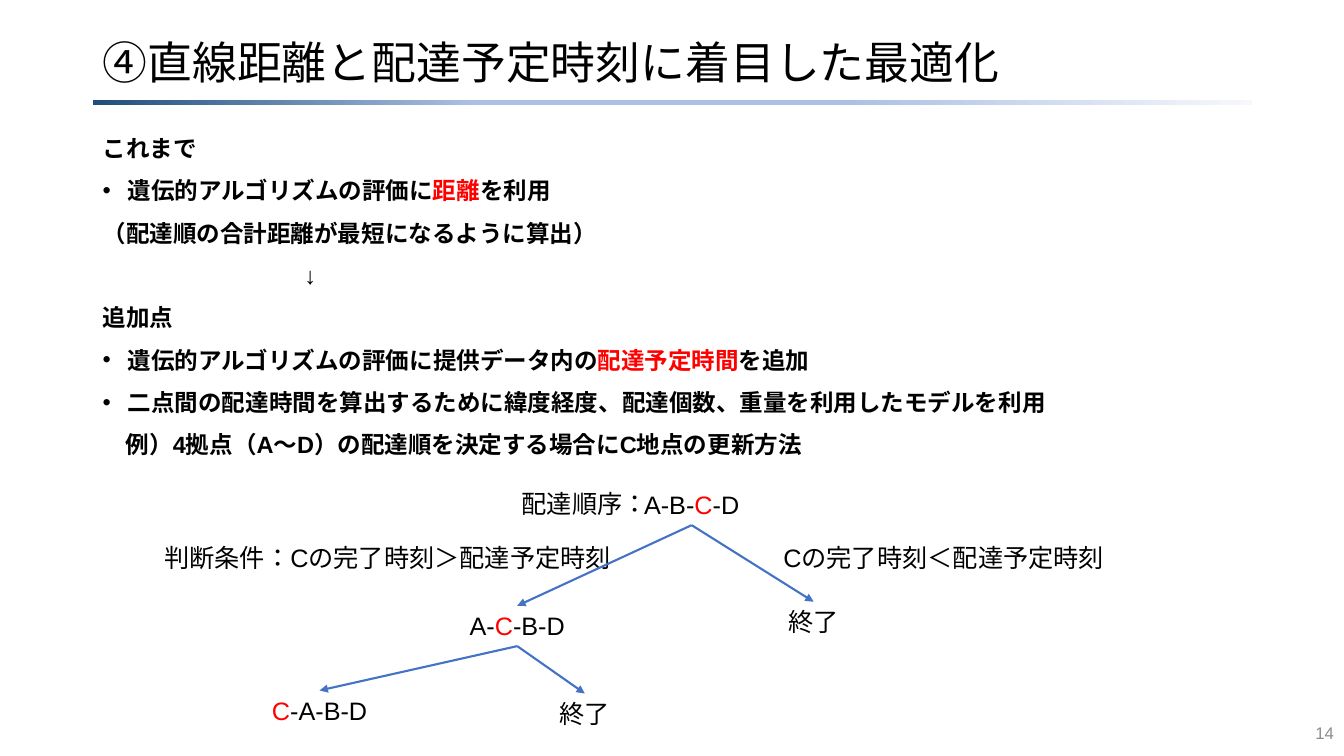
from dataclasses import dataclass

from lxml import etree
from pptx import Presentation
from pptx import util as u
from pptx.dml.color import RGBColor
from pptx.enum import lang, shapes, text
from pptx.oxml import parse_xml
from pptx.oxml.ns import nsdecls, qn


@dataclass(frozen=True)
class Theme:
    font: str = "Arial"
    ink: str = "000000"
    accent: str = "FF0000"
    arrow: str = "4472C4"
    muted: str = "8C8C8C"
    rule_stops: tuple = ((0, "F6F8FC"), (35, "ABC0E4"), (67, "ABC0E4"), (100, "1F4E79"))
    title_size: float = 32
    label_size: float = 18
    body_size: float = 16.8
    number_size: float = 12


class SlideBuilder:
    def __init__(self, page, theme):
        self.page = page
        self.theme = theme

    def fill_para(self, para, content, size, color=None, bold=False):
        """Fill a paragraph; text between * marks takes the accent colour."""
        para.font.name = self.theme.font
        para.font.size = u.Pt(size)
        para.font.bold = bold
        para.font.color.rgb = RGBColor.from_string(color or self.theme.ink)
        for index, part in enumerate(content.split("*")):
            if part:
                span = para.add_run()
                span.text = part
                span.font.language_id = lang.MSO_LANGUAGE_ID.JAPANESE
                if index % 2:
                    span.font.color.rgb = RGBColor.from_string(self.theme.accent)

    def frame(self, left, top, width, height, anchor=text.MSO_ANCHOR.TOP):
        box = self.page.shapes.add_textbox(*map(u.Inches, (left, top, width, height)))
        box.text_frame.word_wrap = True
        box.text_frame.vertical_anchor = anchor
        return box

    def line(self, content, area, size, align, color=None, anchor=text.MSO_ANCHOR.TOP,
             spacing=None):
        box = self.frame(*area, anchor)
        para = box.text_frame.paragraphs[0]
        para.alignment = align
        para.line_spacing = spacing
        self.fill_para(para, content, size, color)
        return box

    def label(self, content, left, top, width=1.72):
        return self.line(content, (left, top, width, 0.4), self.theme.label_size,
                         text.PP_ALIGN.CENTER)

    def body(self, area, rows):
        """Rows are (content, left indent, bulleted)."""
        box = self.frame(*area)
        for index, (content, indent, bulleted) in enumerate(rows):
            para = box.text_frame.paragraphs[0] if index == 0 else box.text_frame.add_paragraph()
            para.line_spacing = u.Pt(20.2)
            para.space_before = u.Pt(10 if index else 0)
            props = para._p.get_or_add_pPr()
            props.set("marL", str(u.Inches(indent)))
            props.set("indent", str(-u.Inches(indent) if bulleted else 0))
            if bulleted:
                etree.SubElement(props, qn("a:buFont")).set("typeface", self.theme.font)
                etree.SubElement(props, qn("a:buChar")).set("char", "•")
            self.fill_para(para, content, self.theme.body_size, bold=True)

    def gradient_rule(self, left, top, width, height):
        rule = self.page.shapes.add_shape(
            shapes.MSO_SHAPE.RECTANGLE, *map(u.Inches, (left, top, width, height)))
        rule.shadow.inherit = False
        rule.line.fill.background()
        stops = "".join(f'<a:gs pos="{pos * 1000}"><a:srgbClr val="{color}"/></a:gs>'
                        for pos, color in self.theme.rule_stops)
        props = rule._element.spPr
        props.find(qn("a:prstGeom")).addnext(parse_xml(
            f'<a:gradFill {nsdecls("a")} rotWithShape="1"><a:gsLst>{stops}</a:gsLst>'
            '<a:lin ang="10800000" scaled="0"/></a:gradFill>'))

    def arrow(self, parent, child):
        """Join the bottom of one node to the top of another."""
        link = self.page.shapes.add_connector(shapes.MSO_CONNECTOR.STRAIGHT, 0, 0, 0, 0)
        link.begin_connect(parent, 2)
        link.end_connect(child, 0)
        link.line.color.rgb = RGBColor.from_string(self.theme.arrow)
        link.line.width = u.Pt(1.5)
        outline = link._element.spPr.find(qn("a:ln"))
        etree.SubElement(outline, qn("a:tailEnd")).set("type", "triangle")
        etree.SubElement(link._element.spPr, qn("a:effectLst"))


def main():
    deck = Presentation()
    deck.slide_width, deck.slide_height = u.Inches(13.33), u.Inches(7.5)
    theme = Theme()
    slide = SlideBuilder(deck.slides.add_slide(deck.slide_layouts[6]), theme)

    # Heading
    slide.gradient_rule(0.92, 0.99, 11.5, 0.05)
    slide.line("④直線距離と配達予定時刻に着目した最適化", (0.92, 0.33, 11.5, 0.62),
               theme.title_size, text.PP_ALIGN.LEFT, anchor=text.MSO_ANCHOR.MIDDLE, spacing=0.9)

    # Explanation
    slide.body((0.92, 1.28, 11.5, 3.61), [
        ("これまで", 0, False),
        ("遺伝的アルゴリズムの評価に*距離*を利用", 0.25, True),
        ("（配達順の合計距離が最短になるように算出）", 0, False),
        ("↓", 2, False),
        ("追加点", 0, False),
        ("遺伝的アルゴリズムの評価に提供データ内の*配達予定時間*を追加", 0.25, True),
        ("二点間の配達時間を算出するために緯度経度、配達個数、重量を利用したモデルを利用", 0.25, True),
        ("例）4拠点（A～D）の配達順を決定する場合にC地点の更新方法", 0.23, False),
    ])

    # Decision tree labels
    slide.label("配達順序：", 4.94, 4.8)
    slide.label("判断条件：Cの完了時刻＞配達予定時刻", 0.31, 5.33, 7.07)
    slide.label("Cの完了時刻＜配達予定時刻", 7.16, 5.33, 4.4)

    # Decision tree nodes and arrows
    start = slide.label("A-B-*C*-D", 6, 4.81)
    moved = slide.label("A-*C*-B-D", 4.27, 6.01)
    first_end = slide.label("終了", 7.21, 5.97)
    moved_again = slide.label("*C*-A-B-D", 2.31, 6.85)
    second_end = slide.label("終了", 4.94, 6.88)
    for parent, child in ((start, moved), (start, first_end),
                          (moved, moved_again), (moved, second_end)):
        slide.arrow(parent, child)

    # Page number
    slide.line("14", (10.33, 7.07, 3, 0.4), theme.number_size, text.PP_ALIGN.RIGHT,
               theme.muted, text.MSO_ANCHOR.MIDDLE)

    deck.save("out.pptx")


if __name__ == "__main__":
    main()
